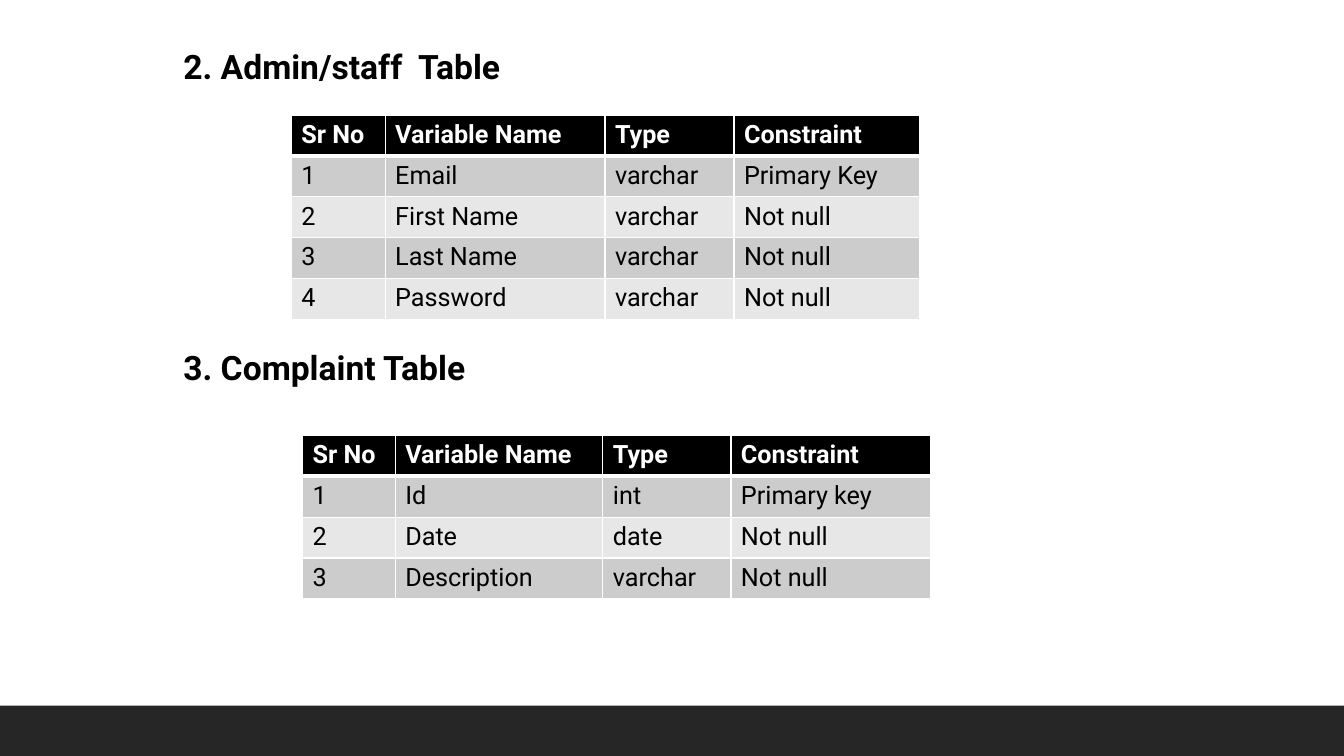
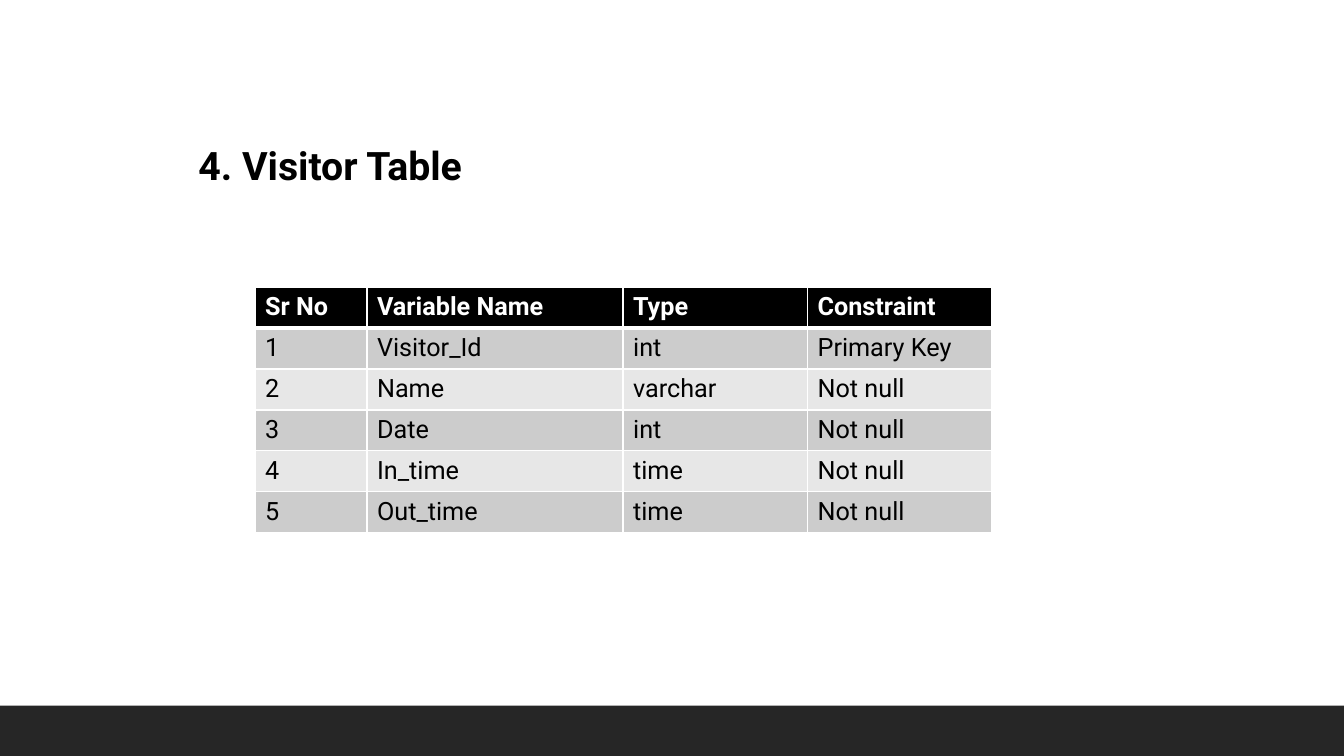
from lxml import etree
from pptx import Presentation
from pptx.dml.color import RGBColor
from pptx.enum.shapes import MSO_SHAPE
from pptx.oxml.ns import qn
from pptx.util import Inches, Pt

RECT = MSO_SHAPE.RECTANGLE
FONT = "Roboto"
BLACK, WHITE, DARK = "000000", "FFFFFF", "262626"
STRIPES = ("E7E7E7", "CCCCCC")
WIDE, HIGH = 13.33, 7.5
ROW = Pt(29.2)
HEAD = ("Sr No", "Variable Name", "Type", "Constraint")


def color(code):
    return RGBColor.from_string(code)


def style(para, size, tint, bold):
    font = para.font
    font.name, font.size, font.bold = FONT, Pt(size), bold
    font.color.rgb = color(tint)


def footer(slide):
    band = slide.shapes.add_shape(RECT, 0, Inches(7), Inches(WIDE), Inches(0.5))
    band.shadow.inherit = False
    band.fill.solid()
    band.fill.fore_color.rgb = color(DARK)
    band.line.fill.background()


def title(slide, text, box, size=24):
    frame = slide.shapes.add_textbox(*map(Inches, box)).text_frame
    frame.word_wrap = True
    frame.text = text
    style(frame.paragraphs[0], size, BLACK, True)


def borders(cell, top, bottom):
    props = cell._tc.get_or_add_tcPr()
    for side, width in (("L", 1), ("R", 1), ("T", top), ("B", bottom)):
        line = etree.SubElement(props, qn("a:ln" + side), w=str(Pt(width)))
        fill = etree.SubElement(line, qn("a:solidFill"))
        etree.SubElement(fill, qn("a:srgbClr"), val=WHITE)


def schema(slide, left, top, widths, fields):
    # Number the fields below the shared heading row
    rows = [HEAD] + [(str(n), *field) for n, field in enumerate(fields, 1)]
    grid = slide.shapes.add_table(
        len(rows), len(HEAD), Inches(left), Inches(top),
        Inches(sum(widths)), ROW * len(rows)).table
    for col, width in zip(grid.columns, widths):
        col.width = Inches(width)
    for r, row in enumerate(rows):
        grid.rows[r].height = ROW
        first = r == 0
        for c, text in enumerate(row):
            cell = grid.cell(r, c)
            cell.text = text
            style(cell.text_frame.paragraphs[0], 18,
                  WHITE if first else BLACK, first)
            # A thick rule parts heading and body
            borders(cell, 3 if r == 1 else 1, 3 if first else 1)
            cell.fill.solid()
            cell.fill.fore_color.rgb = color(BLACK if first else STRIPES[r % 2])


def new_slide(deck):
    slide = deck.slides.add_slide(deck.slide_layouts[6])
    footer(slide)
    return slide


def staff_slide(deck):
    slide = new_slide(deck)
    # Staff
    title(slide, "2. Admin/staff  Table", (1.72, 0.41, 3.96, 0.5))
    schema(slide, 2.89, 1.14, (0.93, 2.18, 1.28, 1.84), [
        ("Email", "varchar", "Primary Key"),
        ("First Name", "varchar", "Not null"),
        ("Last Name", "varchar", "Not null"),
        ("Password", "varchar", "Not null"),
    ])
    # Complaints
    title(slide, "3. Complaint Table", (1.72, 3.39, 3.09, 0.5))
    schema(slide, 3, 4.32, (0.92, 2.06, 1.27, 1.98), [
        ("Id", "int", "Primary key"),
        ("Date", "date", "Not null"),
        ("Description", "varchar", "Not null"),
    ])


def visitor_slide(deck):
    slide = new_slide(deck)
    title(slide, "4. Visitor Table", (1.87, 1.35, 4.08, 0.57), 28)
    schema(slide, 2.53, 2.85, (1.11, 2.54, 1.83, 1.83), [
        ("Visitor_Id", "int", "Primary Key"),
        ("Name", "varchar", "Not null"),
        ("Date", "int", "Not null"),
        ("In_time", "time", "Not null"),
        ("Out_time", "time", "Not null"),
    ])


def main():
    deck = Presentation()
    deck.slide_width, deck.slide_height = Inches(WIDE), Inches(HIGH)
    staff_slide(deck)
    visitor_slide(deck)
    deck.save("out.pptx")


if __name__ == "__main__":
    main()
